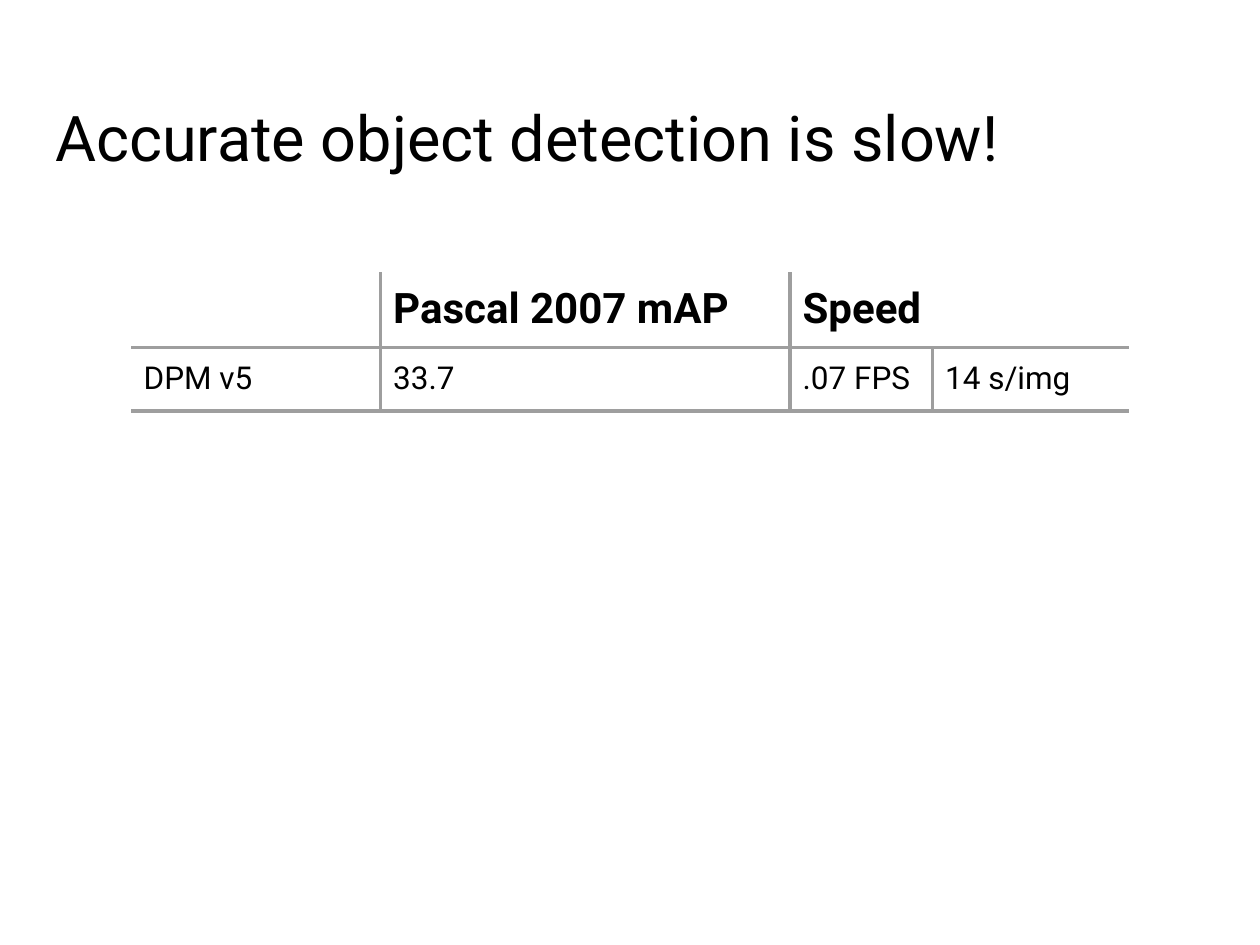
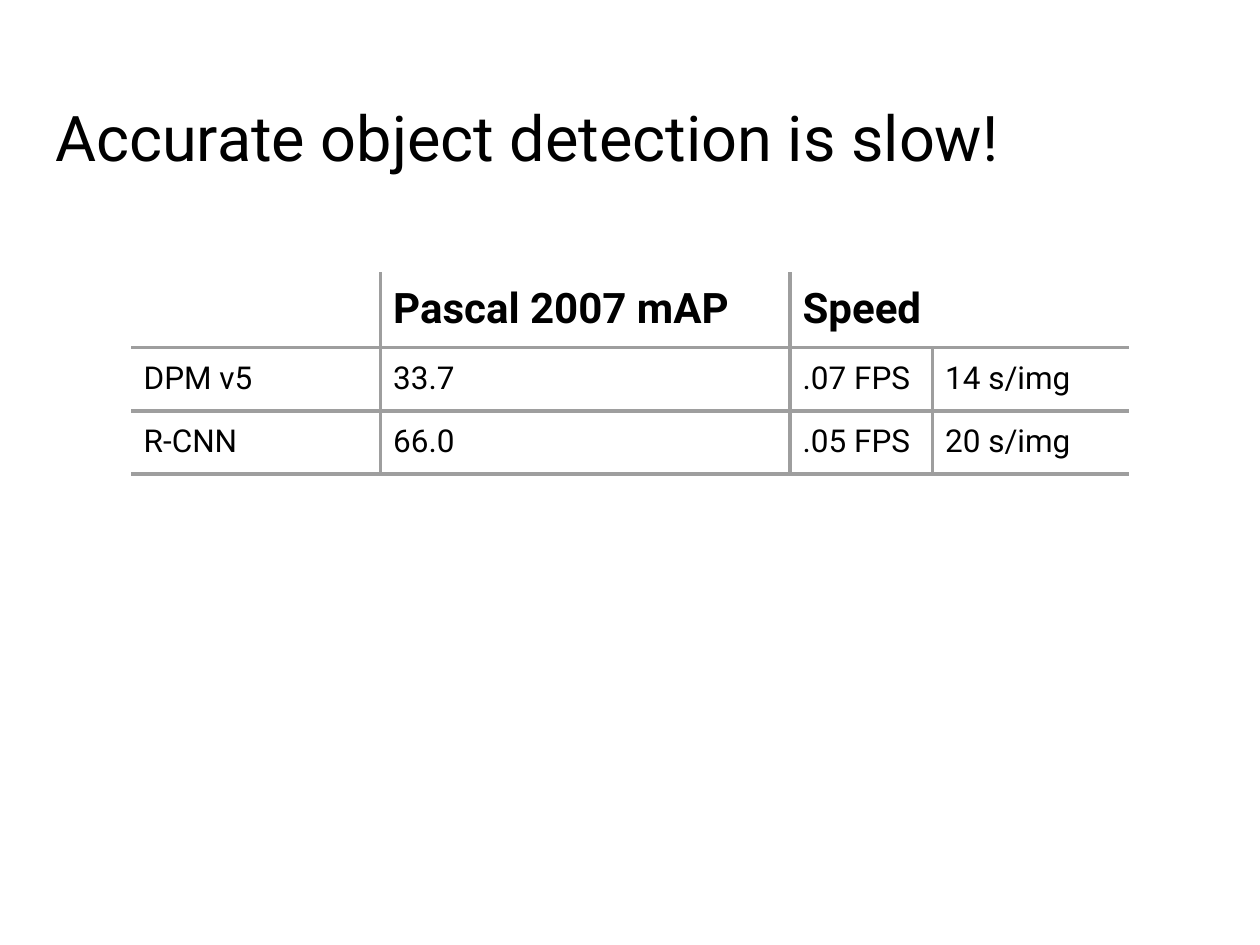
from lxml.etree import SubElement
from pptx import Presentation
from pptx.dml.color import RGBColor
from pptx.enum.text import MSO_ANCHOR
from pptx.oxml.ns import qn
from pptx.util import Pt

BLACK = RGBColor(0x00, 0x00, 0x00)
GREY = RGBColor(0x9E, 0x9E, 0x9E)
FONT = "Roboto"
INSET = Pt(7.2)
RULE = Pt(2.25)

TITLE = "Accurate object detection is slow!"
HEADER = ["", "Pascal 2007 mAP", "Speed", ""]
DETECTORS = [
    ["DPM v5", "33.7", ".07 FPS", "14 s/img"],
    ["R-CNN", "66.0", ".05 FPS", "20 s/img"],
]
COLUMN_WIDTHS = [142.6, 234, 81.4, 112.3]
HEADER_HEIGHT, ROW_HEIGHT = 42.5, 35.4


def add_text(tf, text, size, bold=False):
    tf.margin_left = tf.margin_right = tf.margin_top = tf.margin_bottom = INSET
    r = tf.paragraphs[0].add_run()
    r.text = text
    r.font.name = FONT
    r.font.size = Pt(size)
    r.font.bold = bold
    r.font.color.rgb = BLACK


def set_borders(cell, ruled):
    """Rule the sides named in ruled (from L, R, T, B) and clear the others."""
    tc_pr = cell._tc.get_or_add_tcPr()
    for side in "LRTB":
        ln = SubElement(tc_pr, qn(f"a:ln{side}"), w=str(RULE))
        if side in ruled:
            fill = SubElement(ln, qn("a:solidFill"))
            SubElement(fill, qn("a:srgbClr"), val=str(GREY))
        else:
            SubElement(ln, qn("a:noFill"))


prs = Presentation()
prs.slide_width, prs.slide_height = Pt(720), Pt(540)

# Each slide reveals one more detector
for shown in range(1, len(DETECTORS) + 1):
    s = prs.slides.add_slide(prs.slide_layouts[6])

    tf = s.shapes.add_textbox(Pt(24.5), Pt(46.8), Pt(671), Pt(59.8)).text_frame
    tf.word_wrap = True
    tf.vertical_anchor = MSO_ANCHOR.BOTTOM
    add_text(tf, TITLE, 36)

    rows = [HEADER] + DETECTORS[:shown]
    table = s.shapes.add_table(
        len(rows), len(HEADER), Pt(74.9), Pt(155.5),
        Pt(sum(COLUMN_WIDTHS)), Pt(HEADER_HEIGHT + shown * ROW_HEIGHT)).table
    table.first_row = table.horz_banding = False
    for column, width in zip(table.columns, COLUMN_WIDTHS):
        column.width = Pt(width)
    table.cell(0, 2).merge(table.cell(0, 3))

    last = len(HEADER) - 1
    for i, row in enumerate(rows):
        is_header = i == 0
        table.rows[i].height = Pt(HEADER_HEIGHT if is_header else ROW_HEIGHT)
        # "Speed" spans the last two columns, so the header has no rule there
        last_rule = last - 1 if is_header else last
        for j, text in enumerate(row):
            cell = table.cell(i, j)
            ruled = "B" if is_header else "TB"
            if 0 < j <= last_rule:
                ruled += "L"
            if j < last_rule:
                ruled += "R"
            set_borders(cell, ruled)
            cell.fill.background()
            if text:
                add_text(cell.text_frame, text, 24 if is_header else 18, is_header)
                cell.margin_left = cell.margin_right = INSET
                cell.margin_top = cell.margin_bottom = INSET

prs.save("out.pptx")
